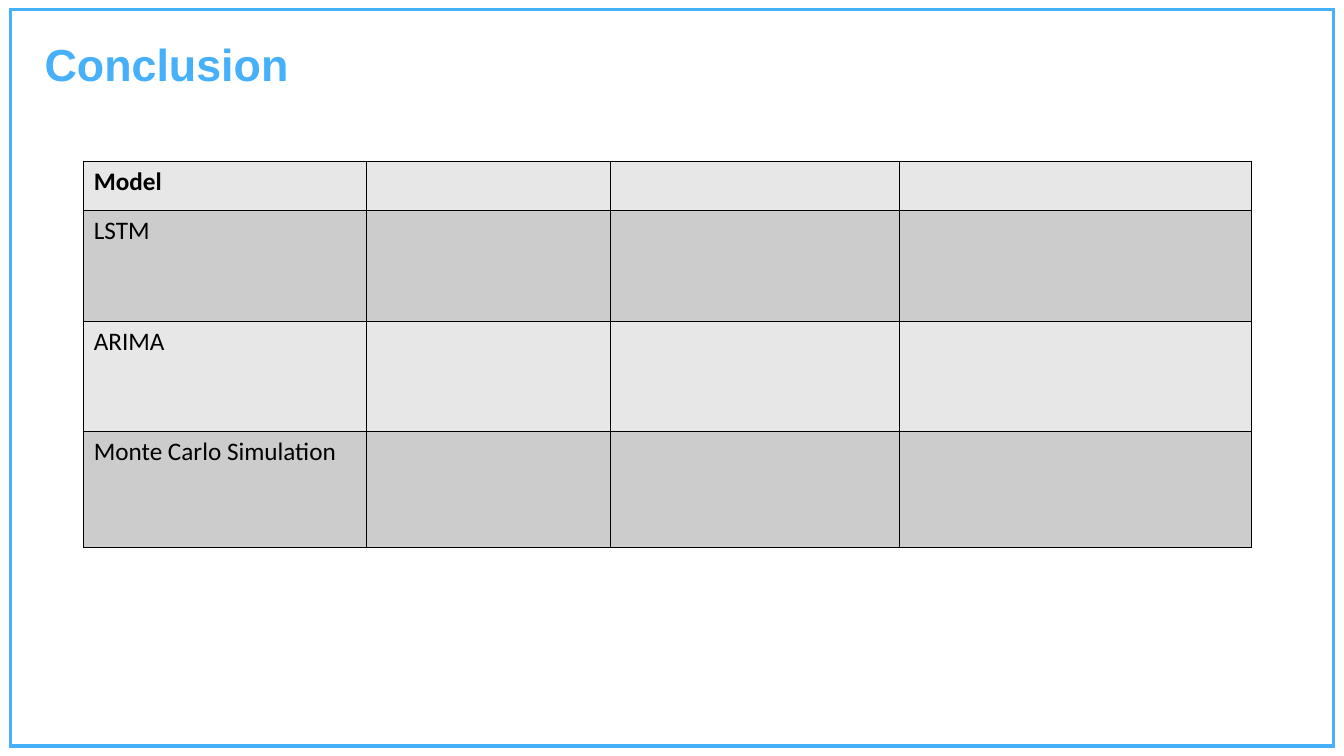
from lxml.etree import SubElement
from pptx import Presentation
from pptx.dml.color import RGBColor
from pptx.enum.shapes import MSO_SHAPE
from pptx.enum.text import MSO_ANCHOR, MSO_AUTO_SIZE, PP_ALIGN
from pptx.oxml.ns import qn
from pptx.util import Cm, Pt

FRAME_BLUE = RGBColor(0x46, 0xB0, 0xF9)
TITLE_BLUE = RGBColor(0x46, 0xB0, 0xFA)
BLACK = RGBColor(0x00, 0x00, 0x00)
BANDS = (RGBColor(0xE7, 0xE7, 0xE7), RGBColor(0xCC, 0xCC, 0xCC))

MODELS = ("Model", "LSTM", "ARIMA", "Monte Carlo Simulation")
COL_SHARES = (2.81, 2.42, 2.87, 3.5)
ROW_SHARES = (0.49, 1.1, 1.09, 1.15)


def add_frame(s, left, top, width, height):
    """Draw the blue outline with sharp corners behind everything else."""
    sp = s.shapes.add_shape(MSO_SHAPE.RECTANGLE, left, top, width, height)
    sp.shadow.inherit = False
    sp.fill.background()
    sp.line.color.rgb = FRAME_BLUE
    sp.line.width = Pt(2.25)
    SubElement(sp.line._get_or_add_ln(), qn("a:miter"), lim="800000")
    s.shapes._spTree.insert(2, sp._element)


def format_title(s, text, left, top, width, height):
    """Place and style the title placeholder."""
    sp = s.shapes.title
    sp.left, sp.top, sp.width, sp.height = left, top, width, height
    tf = sp.text_frame
    tf.text = text
    tf.word_wrap = True
    tf.auto_size = MSO_AUTO_SIZE.SHAPE_TO_FIT_TEXT
    tf.vertical_anchor = MSO_ANCHOR.TOP
    p = tf.paragraphs[0]
    p.alignment = PP_ALIGN.LEFT
    font = p.runs[0].font
    font.name, font.size, font.bold = "Arial", Pt(32), True
    font.color.rgb = TITLE_BLUE


def add_borders(cell):
    """Give a cell thin black borders on all four sides."""
    tcPr = cell._tc.get_or_add_tcPr()
    for side in ("a:lnL", "a:lnR", "a:lnT", "a:lnB"):
        ln = SubElement(tcPr, qn(side), w=str(Pt(1)))
        fill = SubElement(ln, qn("a:solidFill"))
        SubElement(fill, qn("a:srgbClr"), val=str(BLACK))


def add_model_table(s, left, top, width, height):
    """Add the banded table with one model per row."""
    shape = s.shapes.add_table(len(MODELS), len(COL_SHARES), left, top, width, height)
    table = shape.table
    for col, share in zip(table.columns, COL_SHARES):
        col.width = round(width * share / sum(COL_SHARES))
    for row, share in zip(table.rows, ROW_SHARES):
        row.height = round(height * share / sum(ROW_SHARES))
    for i, (row, model) in enumerate(zip(table.rows, MODELS)):
        for cell in row.cells:
            add_borders(cell)
            cell.fill.solid()
            cell.fill.fore_color.rgb = BANDS[i % 2]
        tf = row.cells[0].text_frame
        tf.text = model
        font = tf.paragraphs[0].runs[0].font
        font.name, font.size, font.bold = "Calibri", Pt(18), i == 0
        font.color.rgb = BLACK


def main():
    """Build the conclusion slide and save it."""
    prs = Presentation()
    prs.slide_width, prs.slide_height = Cm(33.87), Cm(19.05)
    s = prs.slides.add_slide(prs.slide_layouts[5])
    add_frame(s, Cm(0.27), Cm(0.23), Cm(33.33), Cm(18.57))
    format_title(s, "Conclusion", Cm(0.87), Cm(0.79), Cm(16.94), Cm(1.63))
    add_model_table(s, Cm(2.11), Cm(4.06), Cm(29.44), Cm(9.73))
    prs.save("out.pptx")


if __name__ == "__main__":
    main()
